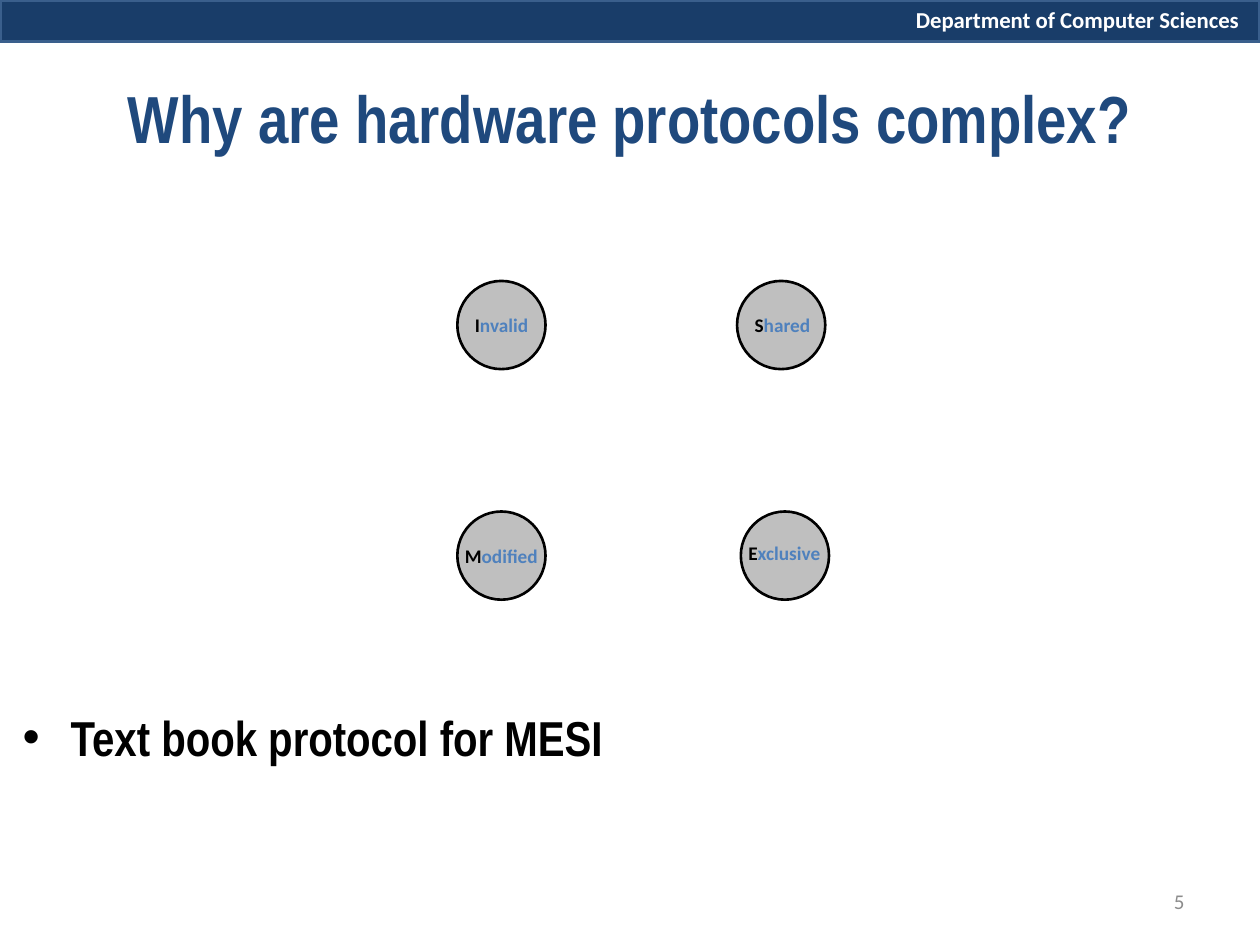
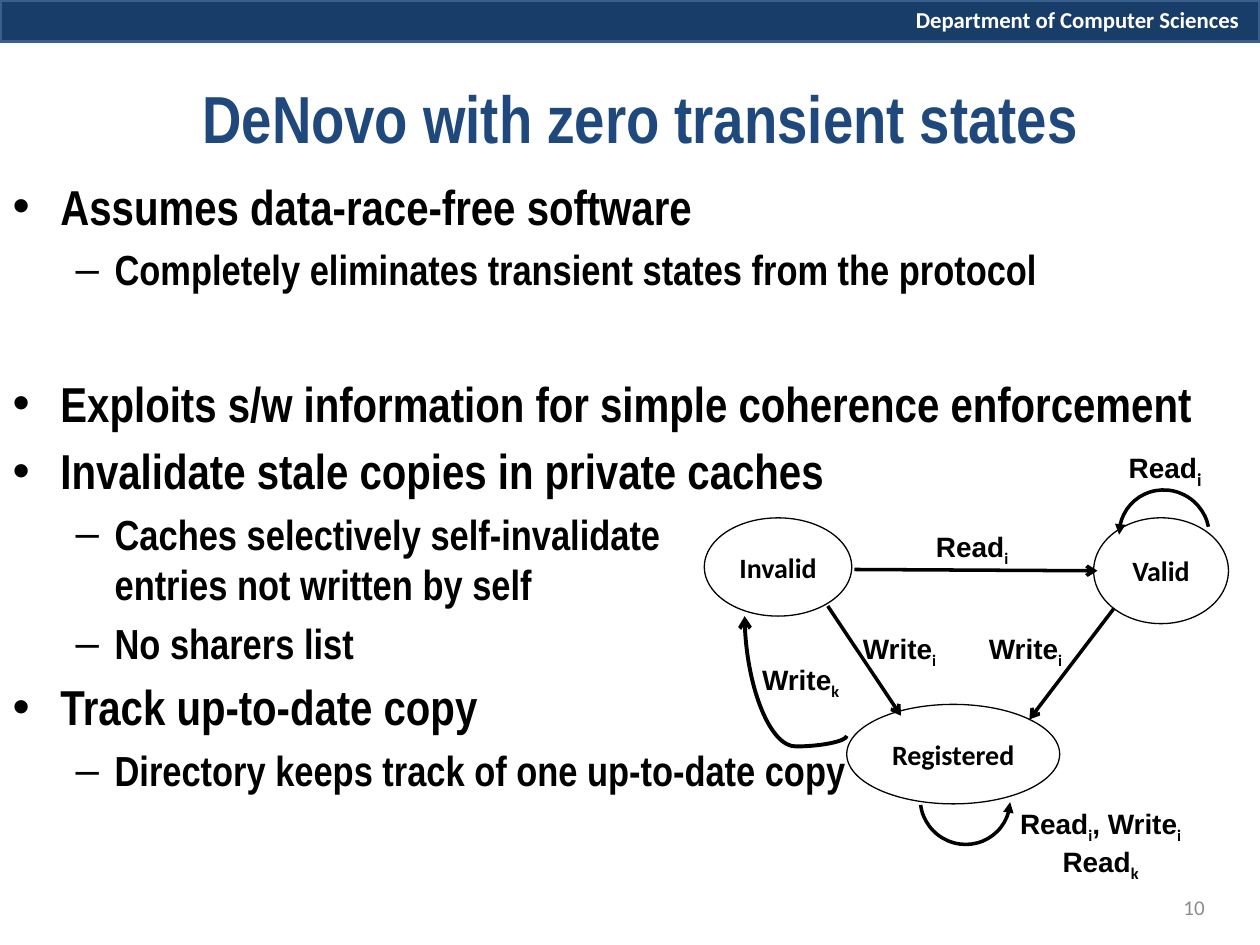
"""Build two slides about hardware coherence protocols and their state diagrams."""
from pptx import Presentation
from pptx import util as u
from pptx.dml import color
from pptx.enum import shapes, text
from pptx.oxml import ns, xmlchemy
from lxml import etree

NAVY, BAND_EDGE, TITLE_BLUE, STATE_BLUE = "193D69", "3A5F8C", "1F497D", "4F81BD"
BLACK, WHITE, GREY, PAGE_GREY = "000000", "FFFFFF", "BFBFBF", "8C8C8C"
LEFT, CENTER, RIGHT = text.PP_ALIGN.LEFT, text.PP_ALIGN.CENTER, text.PP_ALIGN.RIGHT
MIDDLE, BOTTOM = text.MSO_ANCHOR.MIDDLE, text.MSO_ANCHOR.BOTTOM
FIT, FIXED = text.MSO_AUTO_SIZE.SHAPE_TO_FIT_TEXT, text.MSO_AUTO_SIZE.NONE
TITLE_FONT = {"name": "Arial Narrow", "size": u.Pt(38), "bold": True}
LABEL_FONT = {"name": "Arial", "size": u.Pt(16), "bold": True}
STATE_FONT = {"name": "Calibri", "size": u.Pt(16), "bold": True}


def paint(fill, hex_colour):
    fill.solid()
    fill.fore_color.rgb = color.RGBColor.from_string(hex_colour)


def write(shape, lines, font, colour=BLACK, alignment=LEFT, **frame_values):
    frame = shape.text_frame
    for name, value in frame_values.items():
        setattr(frame, name, value)
    for index, line in enumerate(lines):
        paragraph = frame.add_paragraph() if index else frame.paragraphs[0]
        paragraph.alignment = alignment
        for part_index, part in enumerate(line.split("\v")):
            if part_index:
                paragraph.add_line_break()
            run = paragraph.add_run()
            run.text = part
            for name, value in font.items():
                setattr(run.font, name, value)
            paint(run.font.fill, colour)
    return frame


presentation = Presentation()
presentation.slide_width, presentation.slide_height = u.Inches(10), u.Inches(7.5)
layout = presentation.slide_layouts[1]

pages = [
    {"title": "Why are hardware protocols complex?", "title_box": (0.5, 0.3, 9, 1.25),
     "body_box": (0.08, 1.75, 9.5, 4.95), "number": "5", "number_box": (7.17, 6.95, 2.33, 0.4),
     "bullets": [(0, "Text book protocol for MESI", 5)],
     "frame": {"vertical_anchor": BOTTOM, "margin_bottom": u.Inches(0.62)}},
    {"title": "DeNovo with zero transient states", "title_box": (0.42, 0.3, 9.33, 1.25),
     "body_box": (0, 1.35, 10, 5.74), "number": "10", "number_box": (7.33, 7, 2.33, 0.4),
     "bullets": [
         (0, "Assumes data-race-free software", 5),
         (1, "Completely eliminates transient states from the protocol", 5),
         (0, "Exploits s/w information for simple coherence enforcement", 45),
         (0, "Invalidate stale copies in private caches", 5),
         (1, "Caches selectively self-invalidate\ventries not written by self", 5),
         (1, "No sharers list", 5),
         (0, "Track up-to-date copy", 5),
         (1, "Directory keeps track of one up-to-date copy", 5)],
     "frame": {}},
]

slides = []
for page in pages:
    slide = presentation.slides.add_slide(layout)
    slides.append(slide)
    title, body = slide.placeholders
    for shape, box in ((title, page["title_box"]), (body, page["body_box"])):
        shape.left, shape.top, shape.width, shape.height = map(u.Inches, box)
    write(title, [page["title"]], TITLE_FONT, TITLE_BLUE, CENTER,
          vertical_anchor=MIDDLE, auto_size=FIXED)
    frame = write(body, [bullet for level, bullet, gap in page["bullets"]],
                  {"name": "Arial Narrow", "bold": True}, auto_size=FIXED, **page["frame"])
    for paragraph, (level, bullet, gap) in zip(frame.paragraphs, page["bullets"]):
        paragraph.level = level
        paragraph.space_before = u.Pt(gap)
        for run in paragraph.runs:
            run.font.size = u.Pt((28, 24)[level])
    for properties, (level, bullet, gap) in zip(body.element.iter(ns.qn("a:pPr")), page["bullets"]):
        properties.set("marL", str(u.Inches((0.38, 0.81)[level])))
        properties.set("indent", str(u.Inches((-0.38, -0.31)[level])))
    number = slide.shapes.add_textbox(*map(u.Inches, page["number_box"]))
    write(number, [page["number"]], {"name": "Calibri", "size": u.Pt(12)}, PAGE_GREY, RIGHT,
          word_wrap=True, vertical_anchor=MIDDLE)

mesi_slide, denovo_slide = slides

band = mesi_slide.shapes.add_shape(shapes.MSO_SHAPE.RECTANGLE, 0, 0, u.Inches(10), u.Inches(0.33))
band.shadow.inherit = False
paint(band.fill, NAVY)
paint(band.line.fill, BAND_EDGE)
band.line.width = u.Pt(2)
department = mesi_slide.shapes.add_textbox(u.Inches(7.17), 0, u.Inches(2.83), u.Inches(0.32))
write(department, ["Department of Computer Sciences"],
      {"name": "Calibri", "size": u.Pt(13), "bold": True}, WHITE, word_wrap=True, auto_size=FIT)
for shape_id, shape in enumerate((band, department), 20):
    shape.element.nvSpPr.cNvPr.id = shape_id
    layout.shapes.element.append(shape.element)

mesi_states = [
    ("Invalid", (3.63, 2.23), (3.67, 2.44, 0.63, 0.29)),
    ("Shared", (5.85, 2.23), (5.89, 2.44, 0.65, 0.29)),
    ("Exclusive", (5.88, 4.06), (5.84, 4.25, 0.78, 0.29)),
    ("Modified", (3.63, 4.06), (3.59, 4.27, 0.79, 0.29)),
]
for name, (left, top), label_box in mesi_states:
    circle = mesi_slide.shapes.add_shape(
        shapes.MSO_SHAPE.OVAL, *map(u.Inches, (left, top, 0.7, 0.7)))
    circle.shadow.inherit = False
    paint(circle.fill, GREY)
    paint(circle.line.fill, BLACK)
    circle.line.width = u.Pt(1.5)
    label = mesi_slide.shapes.add_textbox(*map(u.Inches, label_box))
    state_font = {**STATE_FONT, "size": u.Pt(11)}
    frame = write(label, [name[0] + "\v" + name[1:]], state_font, word_wrap=False, auto_size=FIT)
    for line_break in list(label.element.iter(ns.qn("a:br"))):
        line_break.getparent().remove(line_break)
    paint(frame.paragraphs[0].runs[1].font.fill, STATE_BLUE)

denovo_states = [
    ("Invalid", (5.59, 4.11, 1.17, 0.78)),
    ("Valid", (8.68, 4.11, 1.07, 0.84)),
    ("Registered", (6.72, 5.59, 1.69, 0.79)),
]
for name, box in denovo_states:
    ellipse = denovo_slide.shapes.add_shape(shapes.MSO_SHAPE.OVAL, *map(u.Inches, box))
    ellipse.shadow.inherit = False
    ellipse.fill.background()
    paint(ellipse.line.fill, BLACK)
    ellipse.line.width = u.Pt(0.75)
    write(ellipse, [name], STATE_FONT, alignment=CENTER, word_wrap=False, vertical_anchor=MIDDLE)

straight, curve = shapes.MSO_CONNECTOR.STRAIGHT, shapes.MSO_CONNECTOR.CURVE
transitions = [
    (straight, (6.78, 4.52, 8.71, 4.53), 2),
    (straight, (6.57, 4.81, 7.15, 5.68), 2),
    (straight, (8.84, 4.83, 8.17, 5.71), 2),
    (curve, (5.84, 5.77, 6.79, 4.96), 2.25),
]
for kind, ends, width in transitions:
    arrow = denovo_slide.shapes.add_connector(kind, *map(u.Inches, ends))
    paint(arrow.line.fill, BLACK)
    arrow.line.width = u.Pt(width)
    properties = arrow.element.spPr
    etree.SubElement(properties.find(ns.qn("a:ln")), ns.qn("a:tailEnd"), type="arrow")
    etree.SubElement(properties, ns.qn("a:effectLst"))
    if kind == curve:
        properties.find(ns.qn("a:xfrm")).set("rot", str(270 * 60000))
        geometry = properties.find(ns.qn("a:prstGeom"))
        for old_list in geometry.findall(ns.qn("a:avLst")):
            geometry.remove(old_list)
        adjustments = etree.SubElement(geometry, ns.qn("a:avLst"))
        etree.SubElement(adjustments, ns.qn("a:gd"), name="adj1", fmla="val -8900")

for left, top, rotation in ((7.3, 5.99, 45.2), (8.88, 3.89, 221.9)):
    loop = denovo_slide.shapes.add_shape(
        shapes.MSO_SHAPE.ARC, *map(u.Inches, (left, top, 0.72, 0.71)))
    loop.shadow.inherit = False
    loop.rotation = rotation
    loop.adjustments[0], loop.adjustments[1] = 191.03, 76.58
    loop.fill.background()
    paint(loop.line.fill, BLACK)
    loop.line.width = u.Pt(2)
    line = loop.element.spPr.find(ns.qn("a:ln"))
    etree.SubElement(line, ns.qn("a:headEnd"), type="triangle")

labels = [
    ([["Read", "i"]], (7.33, 4.15, 0.78, 0.37), LEFT, 16),
    ([["Write", "i"]], (6.75, 4.96, 0.8, 0.37), LEFT, 16),
    ([["Write", "i"]], (7.75, 4.96, 0.8, 0.37), LEFT, 16),
    ([["Read", "i", ", Write", "i"], ["Read", "k"]], (7.98, 6.35, 1.51, 0.64), CENTER, 16),
    ([["Read", "i"]], (8.86, 3.5, 0.79, 0.4), LEFT, 18),
    ([["Write", "k"]], (5.95, 5.21, 0.83, 0.37), LEFT, 16),
]
for lines, box, alignment, subscript_size in labels:
    label = denovo_slide.shapes.add_textbox(*map(u.Inches, box))
    frame = write(label, ["\v".join(parts) for parts in lines], LABEL_FONT,
                  alignment=alignment, word_wrap=False, auto_size=FIT)
    for line_break in list(label.element.iter(ns.qn("a:br"))):
        line_break.getparent().remove(line_break)
    for paragraph in frame.paragraphs:
        for run in paragraph.runs[1::2]:
            run.font.name = "Calibri"
            run.font.size = u.Pt(subscript_size)
    for properties in list(label.element.iter(ns.qn("a:rPr"))):
        if properties.find(ns.qn("a:latin")).get("typeface") == "Calibri":
            properties.set("baseline", "-25000")

presentation.save("out.pptx")
